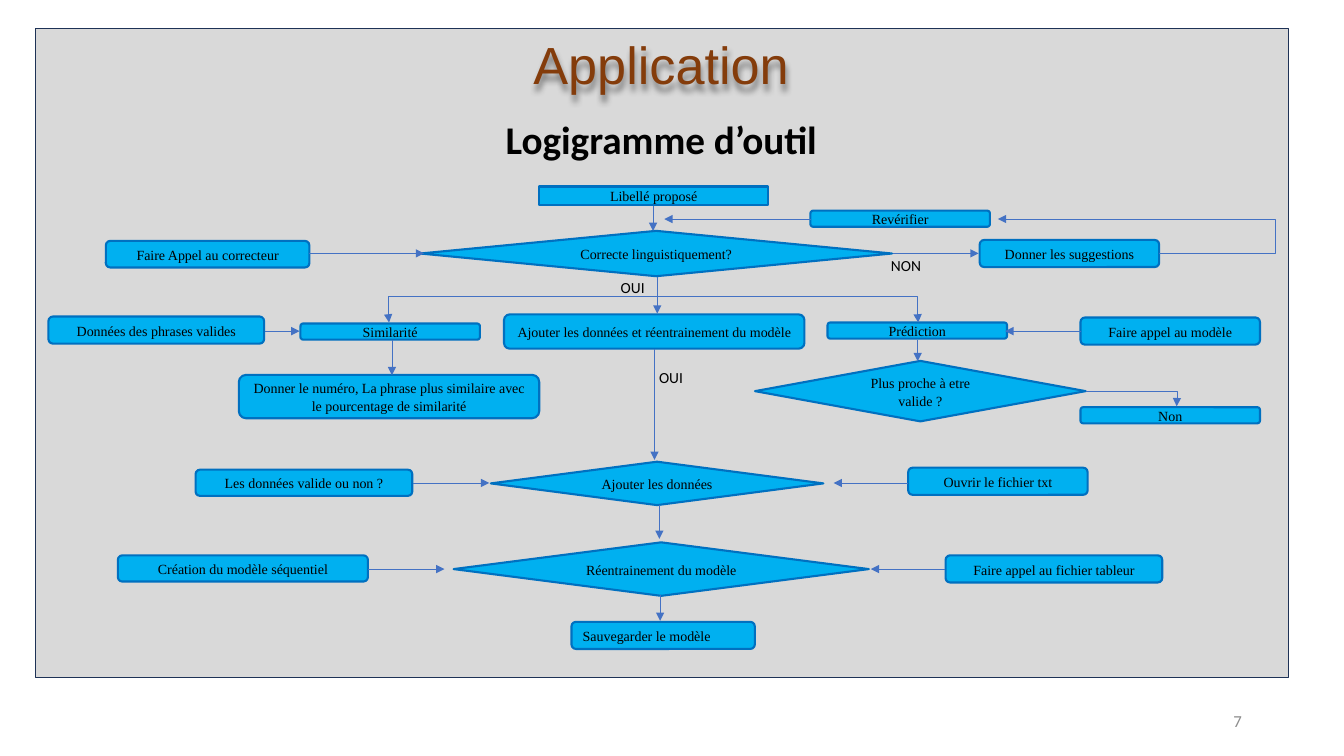
"""Build the flowchart slide of the tool."""
from lxml.etree import SubElement, fromstring
from pptx import Presentation
from pptx.dml.color import RGBColor
from pptx.enum.shapes import MSO_CONNECTOR as LINE, MSO_SHAPE as FORM
from pptx.enum.text import MSO_ANCHOR as ANCHOR, PP_ALIGN as ALIGN
from pptx.oxml.ns import nsdecls, qn
from pptx.util import Pt

GREY = RGBColor(0xD9, 0xD9, 0xD9)
NAVY = RGBColor(0x1E, 0x32, 0x56)
BROWN = RGBColor(0x84, 0x3C, 0x0B)
ASH = RGBColor(0x8C, 0x8C, 0x8C)
BLACK = RGBColor(0, 0, 0)
SKY = RGBColor(0x00, 0xB0, 0xF0)
EDGE = RGBColor(0x00, 0x70, 0xC0)
BLUE = RGBColor(0x44, 0x72, 0xC4)


def write(shape, text, size=10, font="Times New Roman", color=BLACK, bold=False,
          align=ALIGN.CENTER, anchor=ANCHOR.MIDDLE, space=1.07, after=8):
    frame = shape.text_frame
    frame.word_wrap = True
    frame.vertical_anchor = anchor
    par = frame.paragraphs[0]
    par.alignment = align
    par.line_spacing = space
    par.space_after = Pt(after)
    run = par.add_run()
    run.text = text
    run.font.size = Pt(size)
    run.font.name = font
    run.font.bold = bold
    run.font.color.rgb = color


def arrow(x1, y1, x2, y2, bend=None):
    kind = LINE.STRAIGHT if bend is None else LINE.ELBOW
    line = shapes.add_connector(kind, Pt(x1), Pt(y1), Pt(x2), Pt(y2))
    line.line.color.rgb = BLUE
    line.line.width = Pt(0.5)
    props = line._element.spPr
    SubElement(props.find(qn("a:ln")), qn("a:tailEnd"), type="triangle")
    SubElement(props, qn("a:effectLst"))
    if bend is not None:
        guides = props.find(qn("a:prstGeom")).get_or_add_avLst()
        SubElement(guides, qn("a:gd"), name="adj1", fmla=f"val {bend}")


deck = Presentation()
deck.slide_width, deck.slide_height = Pt(960), Pt(540)
shapes = deck.slides.add_slide(deck.slide_layouts[6]).shapes

panel = shapes.add_shape(FORM.RECTANGLE, Pt(25.2), Pt(20.2), Pt(895), Pt(463.7))
panel.shadow.inherit = False
panel.fill.solid()
panel.fill.fore_color.rgb = GREY
panel.line.color.rgb = NAVY
panel.line.width = Pt(1)

title = shapes.add_textbox(Pt(80.6), Pt(15.8), Pt(783.4), Pt(65.5))
write(title, "Application", size=37.3, font="Arial", color=BROWN, space=0.9, after=0)
title._element.spPr.append(fromstring(
    f'<a:effectLst {nsdecls("a")}><a:outerShdw blurRad="50800" dist="50800" dir="5400000">'
    '<a:srgbClr val="000000"><a:alpha val="43000"/></a:srgbClr></a:outerShdw></a:effectLst>'))

LABEL = dict(size=11, font="Calibri", align=ALIGN.LEFT, anchor=ANCHOR.TOP)
PLAIN = dict(font="Calibri", space=1, after=0)
for text, x, y, wide, high, style in [
    ("Logigramme d’outil", 288, 78.5, 368.6, 41,
     dict(PLAIN, size=28, bold=True, anchor=ANCHOR.TOP)),
    ("7", 678.2, 500.4, 216, 28.8, dict(PLAIN, size=12, color=ASH, align=ALIGN.RIGHT)),
    ("NON", 629.3, 178.6, 70.6, 11.5, LABEL),
    ("OUI", 436.3, 194.4, 38.2, 16.6, LABEL),
    ("OUI", 463.7, 258.5, 33.1, 23, LABEL),
]:
    write(shapes.add_textbox(Pt(x), Pt(y), Pt(wide), Pt(high)), text, **style)

BAR, STEP, TEST = FORM.RECTANGLE, FORM.ROUNDED_RECTANGLE, FORM.DIAMOND
for form, text, x, y, wide, high in [
    (BAR, "Libellé proposé", 385.2, 133.2, 163.4, 13),
    (STEP, "Revérifier", 578.9, 150.5, 128.2, 11.5),
    (STEP, "Faire Appel au correcteur", 75.6, 172.1, 145.4, 19),
    (TEST, "Correcte linguistiquement?", 300.2, 164.9, 337, 32.4),
    (STEP, "Donner les suggestions", 699.8, 171.4, 128.2, 19.4),
    (STEP, "Données des phrases valides", 34.6, 226.1, 154.1, 19.4),
    (STEP, "Similarité", 214.6, 231.1, 128.2, 11.5),
    (STEP, "Ajouter les données et réentrainement du modèle", 360, 224.6, 214.6, 24.5),
    (STEP, "Prédiction", 591.1, 230.4, 128.2, 11.5),
    (STEP, "Faire appel au modèle", 771.8, 226.8, 128.2, 19.4),
    (STEP, "Donner le numéro, La phrase plus similaire avec le pourcentage de similarité",
     170.6, 267.8, 214.6, 31),
    (TEST, "Plus proche à etre valide ?", 539.3, 257.8, 236.2, 43.2),
    (STEP, "Non", 771.8, 290.9, 128.2, 11.5),
    (STEP, "Les données valide ou non ?", 139.7, 335.5, 154.8, 18.7),
    (TEST, "Ajouter les données", 350.6, 329.8, 237.6, 31),
    (STEP, "Ouvrir le fichier txt", 648.7, 334.1, 128.2, 19.4),
    (STEP, "Création du modèle séquentiel", 84.2, 396.7, 178.6, 18.7),
    (TEST, "Réentrainement du modèle", 324, 387.4, 296.6, 38.2),
    (STEP, "Faire appel au fichier tableur", 675.4, 396.7, 154.8, 19.4),
    (STEP, "Sauvegarder le modèle", 408.2, 444.2, 131, 19.4),
]:
    node = shapes.add_shape(form, Pt(x), Pt(y), Pt(wide), Pt(high))
    node.shadow.inherit = False
    node.fill.solid()
    node.fill.fore_color.rgb = SKY
    node.line.color.rgb = EDGE
    node.line.width = Pt(1.5)
    side = ALIGN.LEFT if text.startswith("Sauvegarder") else ALIGN.CENTER
    write(node, text, align=side)

for y, start, end in [
    (156.5, 579, 474.5), (181, 221, 303), (181, 638, 699), (236.5, 189, 214),
    (236.5, 772, 718), (345, 295, 349.5), (345, 648.5, 595.5),
    (406.5, 263, 317.5), (406.5, 675, 622),
]:
    arrow(start, y, end, y)

for x, start, end in [
    (466.5, 147, 165), (469.5, 198, 224), (280, 243, 268), (655.5, 243, 258),
    (467.5, 249, 328.5), (471, 361, 385), (471.5, 425, 443.5),
]:
    arrow(x, start, x, end)

arrow(467, 211.7, 277.9, 230.4, bend=100300)
arrow(467, 211.7, 655.9, 230.4, bend=99800)
arrow(776, 279.4, 840.5, 290.2, bend=100300)
arrow(828, 181, 712.8, 156.5, bend=-72200)

deck.save("out.pptx")
